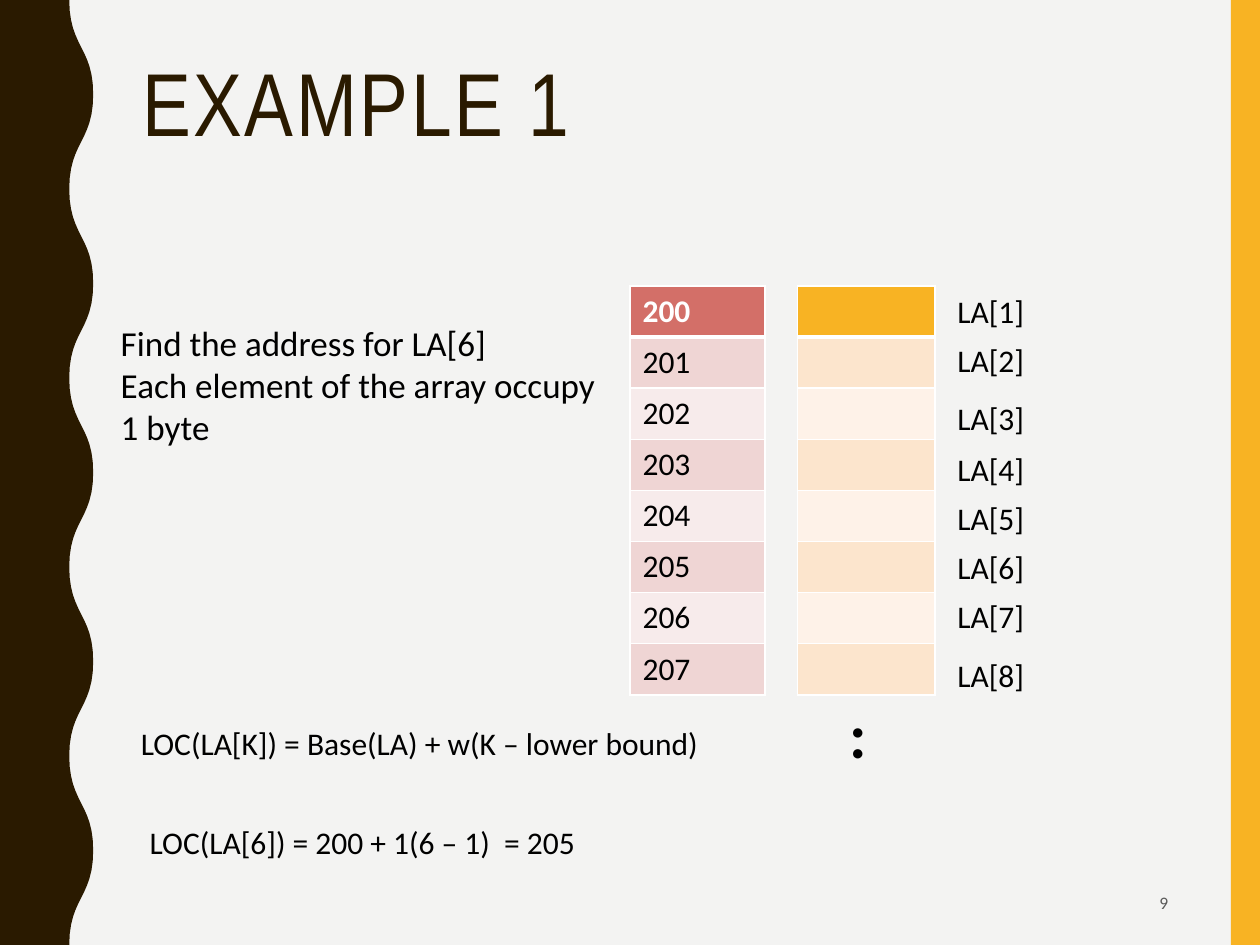
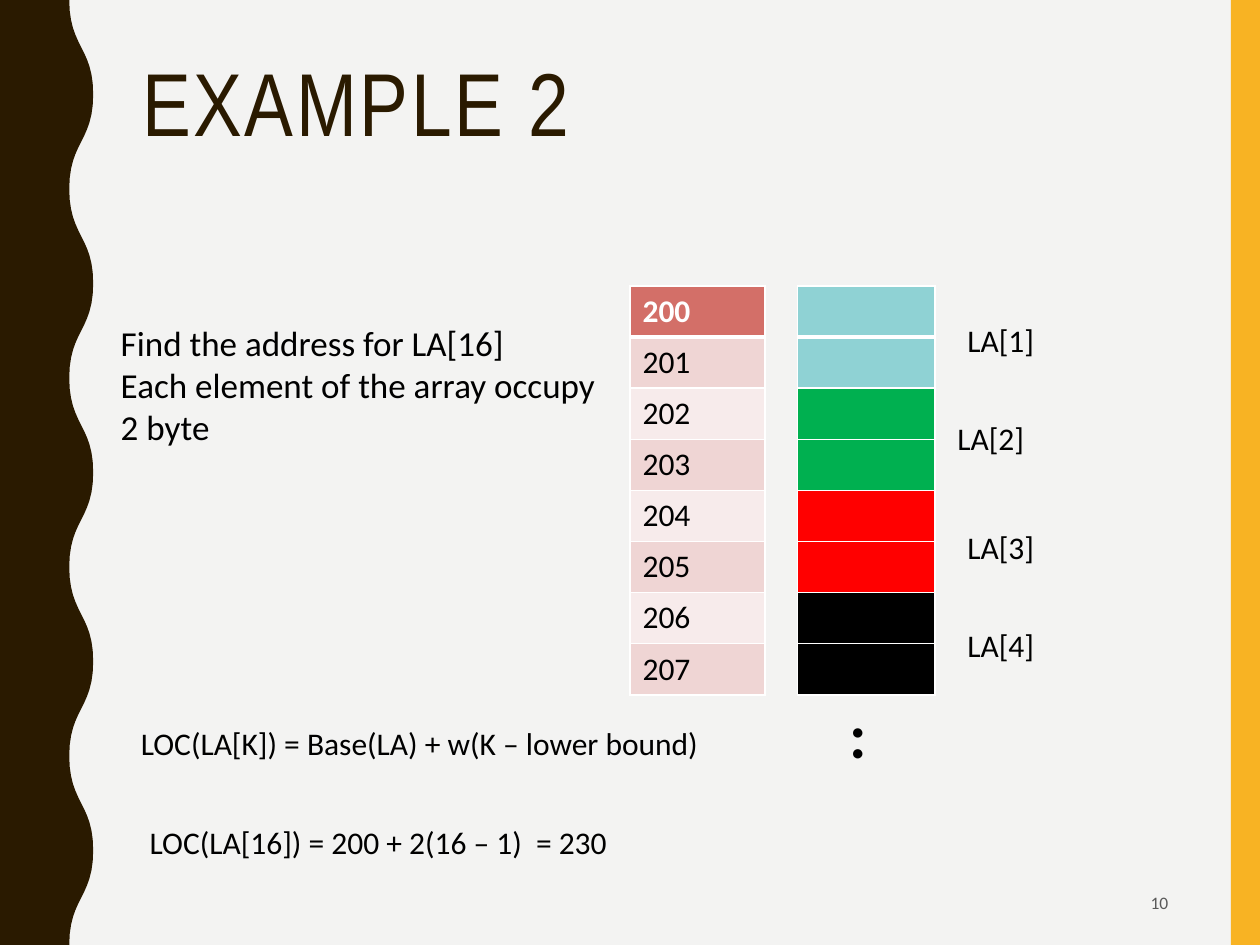
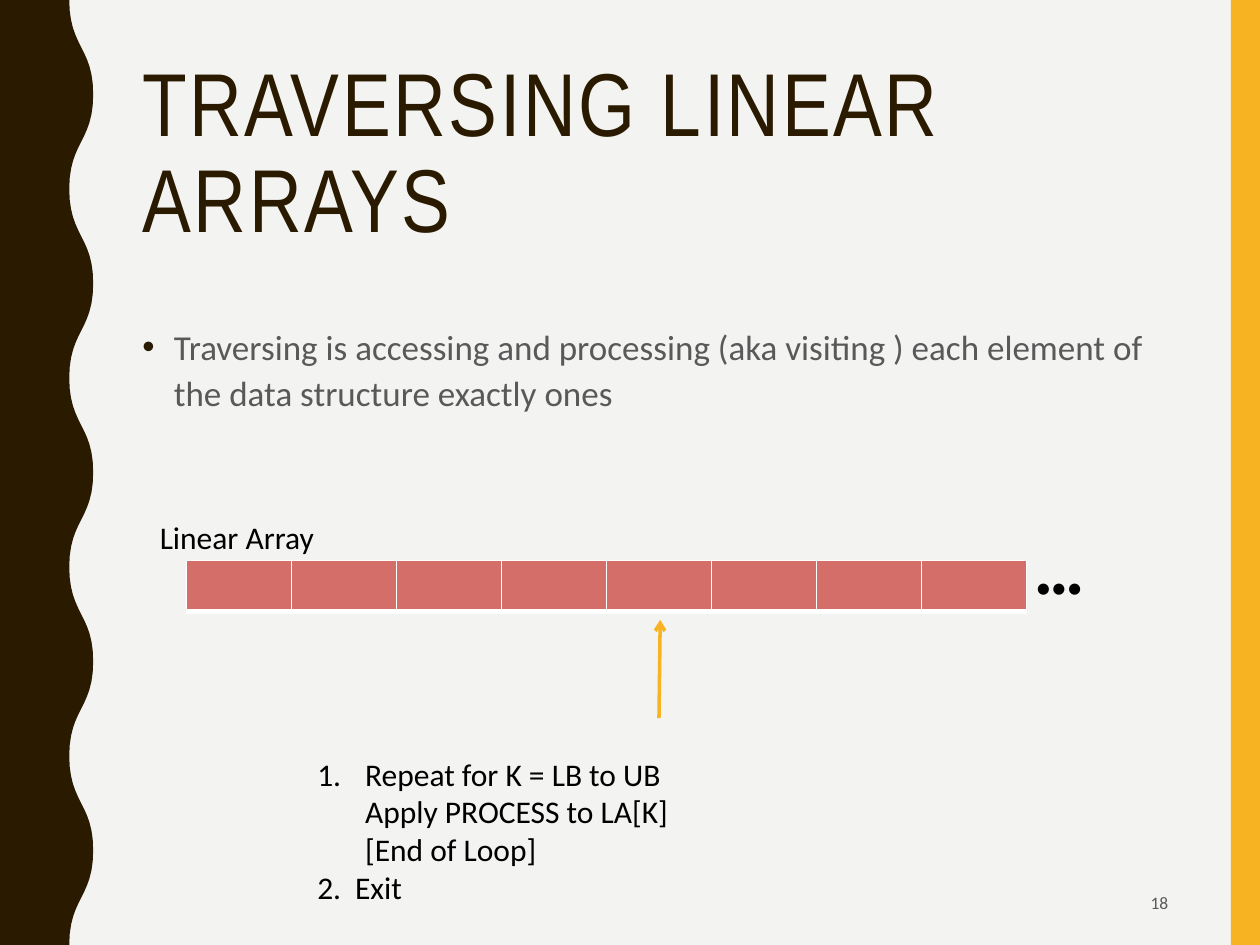
"""Build three slides on addressing and traversing linear arrays."""
from lxml.etree import SubElement
from pptx import Presentation
from pptx.dml.color import RGBColor
from pptx.enum.shapes import MSO_CONNECTOR as Connector, MSO_SHAPE as Shape
from pptx.enum.text import MSO_ANCHOR as Anchor, MSO_AUTO_SIZE as AutoSize, PP_ALIGN as Align
from pptx.oxml.ns import qn
from pptx.util import Inches, Pt

WIDTH, HEIGHT = 10, 7.5
PAPER, BROWN, GOLD, GREY = "F3F3F2", "2A1A00", "F8B323", "595959"
ROSE, ROSE_MID, ROSE_PALE = "D36F68", "EFD5D4", "F7EBEB"
PEACH, PEACH_PALE = "FCE5CD", "FEF2E8"
TEAL, GREEN, RED, BLACK, WHITE = "8FD2D4", "00B050", "FF0000", "000000", "FFFFFF"
HEADING, BODY = "Arial Narrow", "Calibri"
LEFT, TEXT_WIDTH = 1.03, 8.35
TABLE_TOP, ROW = 2.27, 0.405
ADDRESSES = [str(200 + step) for step in range(8)]
FORMULA = "LOC(LA[K]) = Base(LA) + w(K – lower bound)"

EXAMPLES = [
    {"title": "EXAMPLE 1", "number": "9",
     "task": ["Find the address for LA[6]", "Each element of the array occupy 1 byte"],
     "answer": "LOC(LA[6]) = 200 + 1(6 – 1)  = 205",
     "memory": [GOLD] + [PEACH, PEACH_PALE] * 3 + [PEACH],
     "labels": [(7.5, top) for top in (2.27, 2.66, 3.12, 3.52, 3.91, 4.3, 4.69, 5.16)]},
    {"title": "EXAMPLE 2", "number": "10",
     "task": ["Find the address for LA[16]", "Each element of the array occupy 2 byte"],
     "answer": "LOC(LA[16]) = 200 + 2(16 – 1)  = 230",
     "memory": [fill for fill in (TEAL, GREEN, RED, BLACK) for _ in range(2)],
     "labels": [(7.58, 2.5), (7.5, 3.28), (7.58, 4.14), (7.58, 4.92)]},
]
TRAVERSAL = {
    "title": "TRAVERSING LINEAR ARRAYS", "number": "18",
    "body": "Traversing is accessing and processing (aka visiting ) each element of "
            "the data structure exactly ones",
}
STEPS = [("Repeat for K = LB to UB", 0.38, 1), ("Apply PROCESS to LA[K]", 0.38, None),
         ("[End of Loop]", 0.38, None), ("Exit", 0.3, 2)]


def color(code):
    return RGBColor.from_string(code)


def inches(*lengths):
    return [Inches(length) for length in lengths]


def paint(shape, code):
    shape.shadow.inherit = False
    shape.fill.solid()
    shape.fill.fore_color.rgb = color(code)
    shape.line.fill.background()


def style(frame, size, code=BLACK, font=BODY, bold=False):
    for para in frame.paragraphs:
        for span in para.runs:
            span.font.size, span.font.name, span.font.bold = Pt(size), font, bold
            span.font.color.rgb = color(code)


def add_text(page, text, left, top, width, height, size=18, code=BLACK, bold=False):
    box = page.shapes.add_textbox(*inches(left, top, width, height))
    frame = box.text_frame
    frame.word_wrap, frame.auto_size = True, AutoSize.SHAPE_TO_FIT_TEXT
    frame.text = text
    style(frame, size, code, bold=bold)
    return frame


def place(holder, text, top, height):
    holder.left, holder.top, holder.width, holder.height = inches(LEFT, top, TEXT_WIDTH, height)
    frame = holder.text_frame
    frame.text = text
    frame.word_wrap, frame.auto_size = True, AutoSize.NONE
    frame.vertical_anchor = Anchor.TOP
    return frame


def indent(para, margin, hanging):
    props = para._p.get_or_add_pPr()
    props.set("marL", str(Inches(margin)))
    props.set("indent", str(Inches(-margin if hanging else 0)))
    return props


def add_page(deck, layout, content):
    page = deck.slides.add_slide(deck.slide_layouts[layout])
    frame = place(page.shapes.title, content["title"], 0.42, 1.63)
    frame.paragraphs[0].alignment = Align.LEFT
    frame.paragraphs[0].line_spacing = 0.9
    style(frame, 51, BROWN, HEADING)
    frame.paragraphs[0].runs[0].font._element.set("spc", "150")
    footer = add_text(page, content["number"], 7.06, 6.97, 2.31, 0.38, 10, GREY)
    footer.auto_size, footer.vertical_anchor = AutoSize.NONE, Anchor.MIDDLE
    footer.paragraphs[0].alignment = Align.RIGHT
    return page


def add_grid(page, left, top, column, fills, texts=None):
    """Draw rows of filled cells, with a heavy rule below the first row."""
    rows, columns = len(fills), len(fills[0])
    frame = page.shapes.add_table(rows, columns, *inches(left, top, column * columns, ROW * rows))
    table = frame.table
    table.first_row = table.horz_banding = False
    for row, line in enumerate(fills):
        table.rows[row].height = Inches(ROW)
        for index, fill in enumerate(line):
            table.columns[index].width = Inches(column)
            cell = table.cell(row, index)
            widths = {"lnL": 1, "lnR": 1, "lnT": 3 if row == 1 else 1, "lnB": 3 if row == 0 else 1}
            for side, width in widths.items():
                edge = SubElement(cell._tc.get_or_add_tcPr(), qn("a:" + side), w=str(Pt(width)))
                SubElement(SubElement(edge, qn("a:solidFill")), qn("a:srgbClr"), val=WHITE)
            cell.fill.solid()
            cell.fill.fore_color.rgb = color(fill)
            if texts:
                cell.text_frame.text = texts[row]
                style(cell.text_frame, 18, BLACK if row else WHITE, bold=row == 0)


def wave_points(inner=0.55, outer=0.74, half=0.75, steps=12):
    """Sample the S-curves that swing between the two edges down the slide."""
    for turn in range(round(HEIGHT / half)):
        start, end = (inner, outer) if turn % 2 == 0 else (outer, inner)
        for step in range(1, steps + 1):
            t = step / steps
            x = start + (end - start) * (3 * t ** 2 - 2 * t ** 3)
            y = half * (turn + 1.5 * t * (1 - t) + t ** 3)
            yield inches(x, y)


def decorate_master(deck, page):
    master = deck.slide_master
    master.background.fill.solid()
    master.background.fill.fore_color.rgb = color(PAPER)
    band = page.shapes.add_shape(Shape.RECTANGLE, *inches(WIDTH - 0.23, 0, 0.23, HEIGHT))
    outline = page.shapes.build_freeform(0, 0)
    outline.add_line_segments([inches(0.55, 0), *wave_points(), inches(0, HEIGHT)], close=True)
    wave = outline.convert_to_shape()
    for shape, code in ((band, GOLD), (wave, BROWN)):
        paint(shape, code)
        master.shapes.element.insert(2, shape.element)


def add_example(deck, content):
    page = add_page(deck, 5, content)
    add_grid(page, 6.33, TABLE_TOP, 1.09, [[fill] for fill in content["memory"]])
    shades = [ROSE] + [ROSE_MID, ROSE_PALE] * 3 + [ROSE_MID]
    add_grid(page, 5, TABLE_TOP, 1.07, [[fill] for fill in shades], ADDRESSES)
    for index, (left, top) in enumerate(content["labels"], 1):
        add_text(page, f"LA[{index}]", left, top, 0.94, 0.4)
    add_text(page, "\n".join(content["task"]), 0.86, 2.5, 3.98, 1.11, 20)
    add_text(page, FORMULA, 1.02, 5.7, 5.63, 0.4)
    add_text(page, content["answer"], 1.09, 6.48, 5.47, 0.4)
    add_text(page, ":", 6.64, 5.47, 1.72, 0.71, 36, bold=True)
    return page


def add_traversal(deck, content):
    page = add_page(deck, 1, content)
    frame = place(page.placeholders[1], content["body"], 2.5, 3.93)
    para = frame.paragraphs[0]
    para.line_spacing, para.space_before = 1.1, Pt(7)
    style(frame, 20, GREY)
    props = indent(para, 0.25, True)
    SubElement(SubElement(props, qn("a:buClr")), qn("a:srgbClr"), val=BROWN)
    SubElement(props, qn("a:buFont"), typeface="Arial")
    SubElement(props, qn("a:buChar"), char="•")

    add_grid(page, 1.48, 4.45, 6.67 / 8, [[ROSE] * 8])
    add_text(page, "•••", 8.12, 4.45, 1.88, 0.4)
    add_text(page, "Linear Array", 1.17, 4.06, 2.03, 0.4)
    arrow = page.shapes.add_connector(Connector.STRAIGHT, *inches(5.23, 5.7, 5.24, 4.92))
    arrow.line.color.rgb, arrow.line.width = color(GOLD), Pt(2)
    SubElement(arrow.line._get_or_add_ln(), qn("a:tailEnd"), type="arrow")
    SubElement(arrow._element.spPr, qn("a:effectLst"))

    steps = add_text(page, "\n".join(text for text, _, _ in STEPS), 2.42, 5.94, 4.53, 1.31)
    for para, (_, margin, number) in zip(steps.paragraphs, STEPS):
        props = indent(para, margin, number)
        if number:
            SubElement(props, qn("a:buFont"), typeface="+mj-lt")
            SubElement(props, qn("a:buAutoNum"), type="arabicPeriod", startAt=str(number))


deck = Presentation()
deck.slide_width, deck.slide_height = inches(WIDTH, HEIGHT)
pages = [add_example(deck, example) for example in EXAMPLES]
add_traversal(deck, TRAVERSAL)
decorate_master(deck, pages[0])
deck.save("out.pptx")
